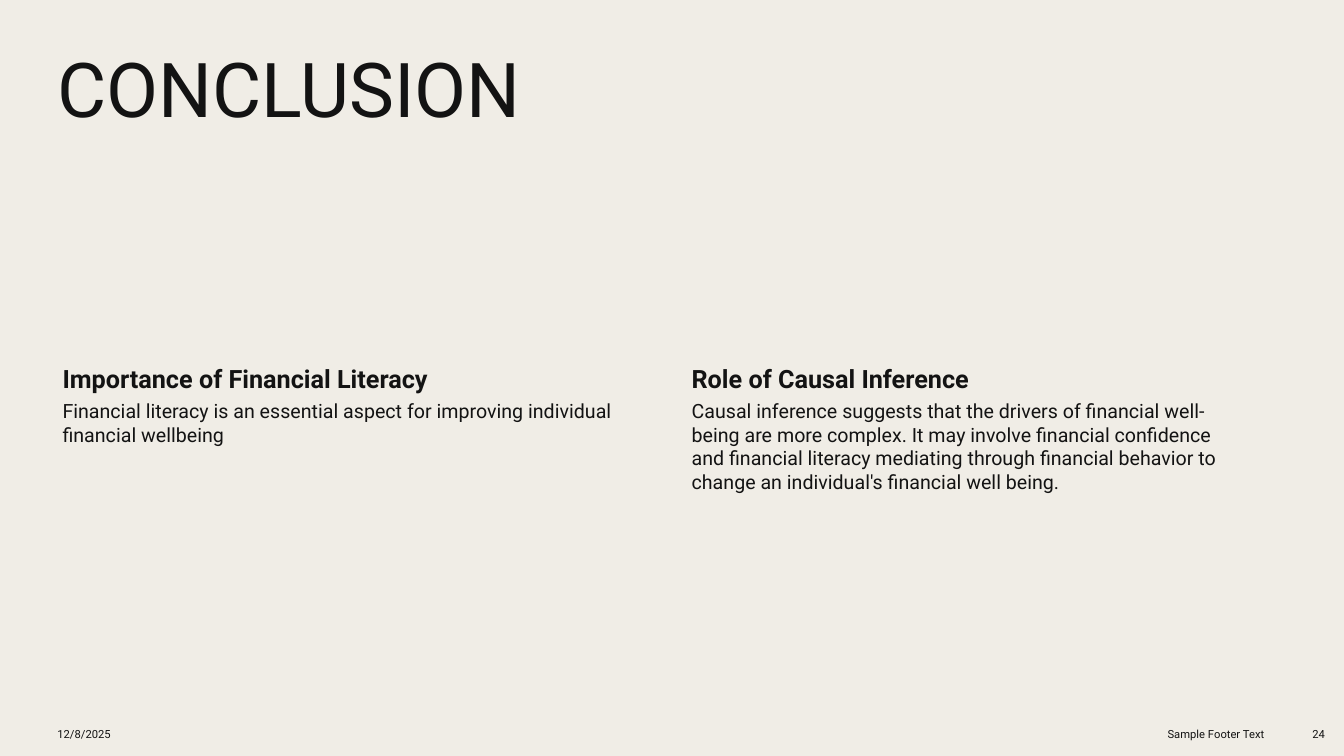
import pptx
import pptx.dml.color
import pptx.enum.text
import pptx.oxml.ns
import pptx.util
from lxml import etree

Inches = pptx.util.Inches
Pt = pptx.util.Pt
Anchor = pptx.enum.text.MSO_ANCHOR
Align = pptx.enum.text.PP_ALIGN


def colour(hex_value):
    return pptx.dml.color.RGBColor.from_string(hex_value)


class ConclusionSlide:
    font = "Roboto"
    ink = "131313"
    paper = "F0EDE6"

    def __init__(self, deck):
        comparison_layout = deck.slide_layouts[4]
        self.slide = deck.slides.add_slide(comparison_layout)
        self.slide.background.fill.solid()
        self.slide.background.fill.fore_color.rgb = colour(self.paper)

    def set_text(self, shape, box, text, size, bold=False, align=Align.LEFT,
                 anchor=Anchor.TOP, insets=(0.1, 0.05, 0.1, 0.05), spacing=1.0):
        shape.left, shape.top, shape.width, shape.height = map(Inches, box)
        frame = shape.text_frame
        frame.word_wrap = True
        frame.auto_size = pptx.enum.text.MSO_AUTO_SIZE.NONE
        frame.vertical_anchor = anchor
        (frame.margin_left, frame.margin_top,
         frame.margin_right, frame.margin_bottom) = map(Inches, insets)
        paragraph = frame.paragraphs[0]
        paragraph.alignment = align
        paragraph.line_spacing = spacing
        paragraph.space_before = Pt(0)
        run = paragraph.add_run()
        run.text = text
        run.font.name = self.font
        run.font.size = Pt(size)
        run.font.bold = bold
        run.font.color.rgb = colour(self.ink)
        return paragraph

    def title(self, text):
        self.set_text(self.slide.shapes.title, (0.47, 0.47, 11.91, 1.78),
                      text, 54, spacing=0.9)

    def list_text(self, index, box, text, size, inset, bold=False):
        paragraph = self.set_text(self.slide.placeholders[index], box, text, size,
                                  bold, insets=(0.15, inset, inset, inset))
        properties = paragraph._p.get_or_add_pPr()
        properties.set("marL", "0")
        properties.set("indent", "0")
        etree.SubElement(properties, pptx.oxml.ns.qn("a:buNone"))

    def takeaway(self, column, heading, body):
        left = 0.47 + 6.24 * column
        first = 1 + 2 * column
        self.list_text(first, (left, 3.57, 5.67, 0.37), heading, 18, 0.03, True)
        self.list_text(first + 1, (left, 3.94, 5.67, 2.65), body, 14, 0.02)

    def footer(self, left, width, text, align):
        box = (left, 7.1, width, 0.37)
        note = self.slide.shapes.add_textbox(*map(Inches, box))
        self.set_text(note, box, text, 8, align=align, anchor=Anchor.MIDDLE)


def main():
    deck = pptx.Presentation()
    deck.slide_width = Inches(13.33)
    deck.slide_height = Inches(7.5)
    conclusion = ConclusionSlide(deck)
    conclusion.title("CONCLUSION")
    takeaways = [
        ("Importance of Financial Literacy",
         "Financial literacy is an essential aspect for improving individual "
         "financial wellbeing"),
        ("Role of Causal Inference",
         "Causal inference suggests that the drivers of financial well-being "
         "are more complex. It may involve financial confidence and financial "
         "literacy mediating through financial behavior to change an "
         "individual's financial well being."),
    ]
    for column, (heading, body) in enumerate(takeaways):
        conclusion.takeaway(column, heading, body)
    conclusion.footer(0.47, 3.11, "12/8/2025", Align.LEFT)
    conclusion.footer(9.73, 2.91, "Sample Footer Text", Align.RIGHT)
    conclusion.footer(12.74, 0.5, "24", Align.RIGHT)
    deck.save("out.pptx")


if __name__ == "__main__":
    main()
